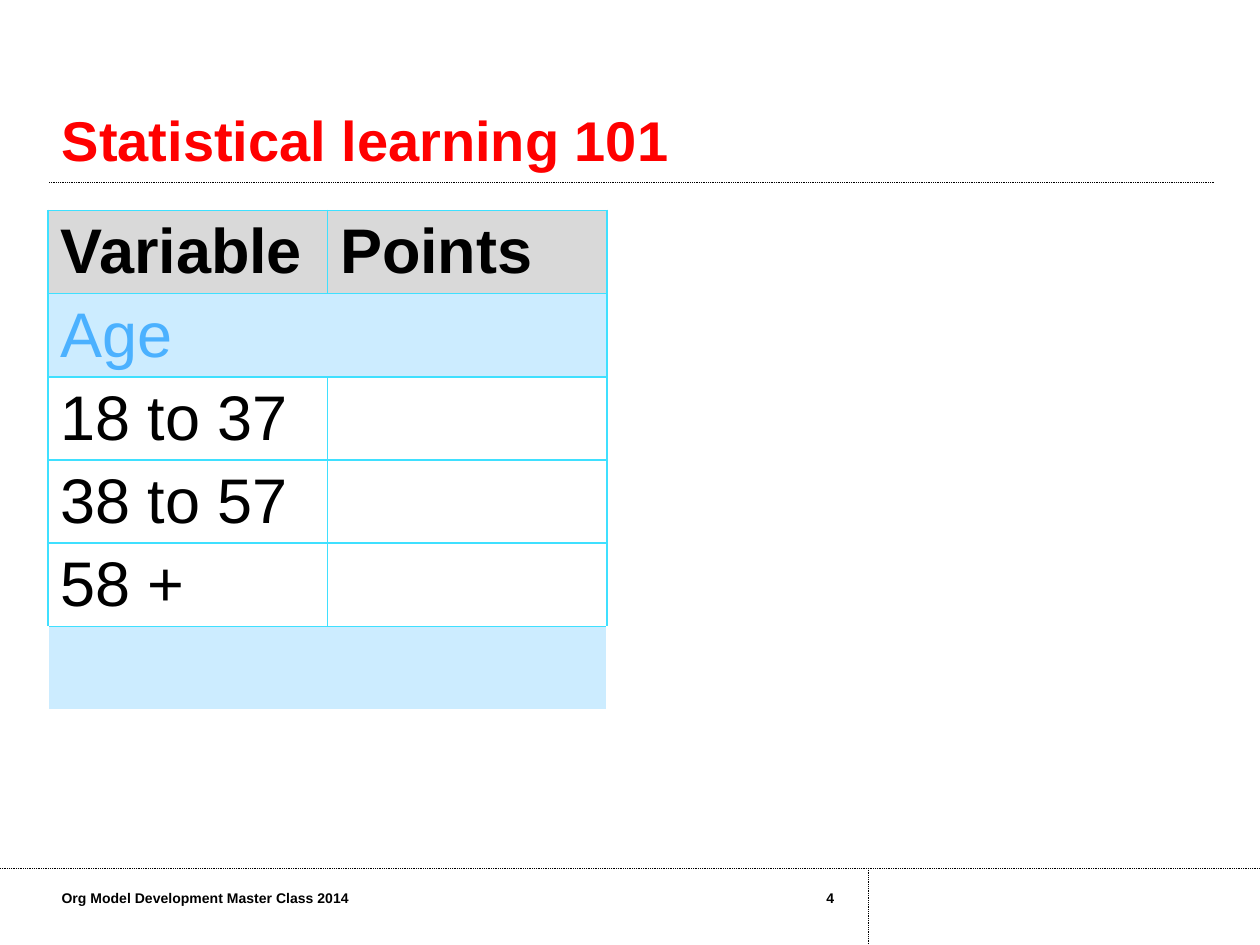
from lxml import etree
from pptx import Presentation
from pptx.dml.color import RGBColor
from pptx.enum.dml import MSO_LINE
from pptx.enum.shapes import MSO_CONNECTOR
from pptx.enum.text import MSO_ANCHOR as Anchor, PP_ALIGN as Align
from pptx.oxml.ns import qn
from pptx.util import Inches, Pt

BLACK = RGBColor(0x00, 0x00, 0x00)
WHITE = RGBColor(0xFF, 0xFF, 0xFF)
RED = RGBColor(0xFF, 0x00, 0x00)
GREY = RGBColor(0xD9, 0xD9, 0xD9)
PALE_BLUE = RGBColor(0xCC, 0xEC, 0xFF)
SKY_BLUE = RGBColor(0x4B, 0xB1, 0xFF)
CYAN = RGBColor(0x3F, 0xE0, 0xFF)


class Deck:
    font = "Arial"

    def __init__(self, width, height):
        self.prs = Presentation()
        self.prs.slide_width, self.prs.slide_height = Inches(width), Inches(height)
        self.slide = self.prs.slides.add_slide(self.prs.slide_layouts[5])

    def style(self, paragraph, size, color=BLACK, bold=True, align=Align.LEFT):
        font = paragraph.font
        font.name, font.size, font.bold = self.font, Pt(size), bold
        font.color.rgb = color
        paragraph.alignment = align

    def title(self, text, left, top, width, height):
        title = self.slide.shapes.title
        title.left, title.top = Inches(left), Inches(top)
        title.width, title.height = Inches(width), Inches(height)
        title.text_frame.text = text
        title.text_frame.vertical_anchor = Anchor.BOTTOM
        heading = title.text_frame.paragraphs[0]
        heading.line_spacing = Pt(32)
        self.style(heading, 32, RED)

    def text(self, text, left, top, width, height, align=Align.LEFT):
        box = self.slide.shapes.add_textbox(
            Inches(left), Inches(top), Inches(width), Inches(height))
        box.text_frame.word_wrap = True
        box.text_frame.text = text
        self.style(box.text_frame.paragraphs[0], 8, align=align)

    def rule(self, x1, y1, x2, y2):
        rule = self.slide.shapes.add_connector(
            MSO_CONNECTOR.STRAIGHT, Inches(x1), Inches(y1), Inches(x2), Inches(y2))
        rule.line.color.rgb = BLACK
        rule.line.width = Pt(0.5)
        rule.line.dash_style = MSO_LINE.ROUND_DOT
        etree.SubElement(rule._element.spPr, qn("a:effectLst"))

    def borders(self, cell, sides):
        props = cell._tc.get_or_add_tcPr()
        for place, (side, color) in enumerate(sides.items()):
            line = etree.Element(qn(f"a:ln{side}"), w=str(Pt(1)))
            fill = etree.SubElement(line, qn("a:solidFill"))
            etree.SubElement(fill, qn("a:srgbClr"), val=str(color))
            props.insert(place, line)

    def table(self, rows, left, top, col_width, row_height):
        cols = 2
        table = self.slide.shapes.add_table(
            len(rows), cols, Inches(left), Inches(top),
            Inches(col_width * cols), Inches(row_height * len(rows))).table
        for r, (texts, fill, color, bold, anchor, edge) in enumerate(rows):
            for c in range(cols):
                cell = table.cell(r, c)
                if fill is None:
                    cell.fill.background()
                else:
                    cell.fill.solid()
                    cell.fill.fore_color.rgb = fill
                self.borders(cell, {"L": edge, "R": edge, "T": CYAN, "B": edge})
                cell.vertical_anchor = anchor
                if c < len(texts):
                    cell.text = texts[c]
                self.style(cell.text_frame.paragraphs[0], 36, color, bold)
            # A row with a single text spans the whole width
            if len(texts) == 1:
                table.cell(r, 0).merge(table.cell(r, cols - 1))


def main():
    deck = Deck(10, 7.5)

    # Heading and its rule
    deck.title("Statistical learning 101", 0.39, 0.39, 9.25, 1.03)
    deck.rule(0.39, 1.45, 9.64, 1.45)

    # Scorecard: texts, fill, text colour, bold, anchor, edge colour
    age_bands = [((band, ""), None, BLACK, False, Anchor.MIDDLE, CYAN)
                 for band in ("18 to 37", "38 to 57", "58 +")]
    scorecard = [
        (("Variable", "Points"), GREY, BLACK, True, Anchor.TOP, CYAN),
        (("Age",), PALE_BLUE, SKY_BLUE, False, Anchor.TOP, CYAN),
        *age_bands,
        (("",), PALE_BLUE, BLACK, False, Anchor.TOP, WHITE),
    ]
    deck.table(scorecard, 0.38, 1.67, 2.22, 0.66)

    # Footer
    deck.rule(0, 6.89, 10, 6.89)
    deck.rule(6.89, 6.89, 6.89, 7.5)
    deck.text("Org Model Development Master Class 2014", 0.39, 7.01, 3.51, 0.39)
    deck.text("4", 5.51, 7.01, 1.21, 0.39, Align.RIGHT)

    deck.prs.save("out.pptx")


if __name__ == "__main__":
    main()
